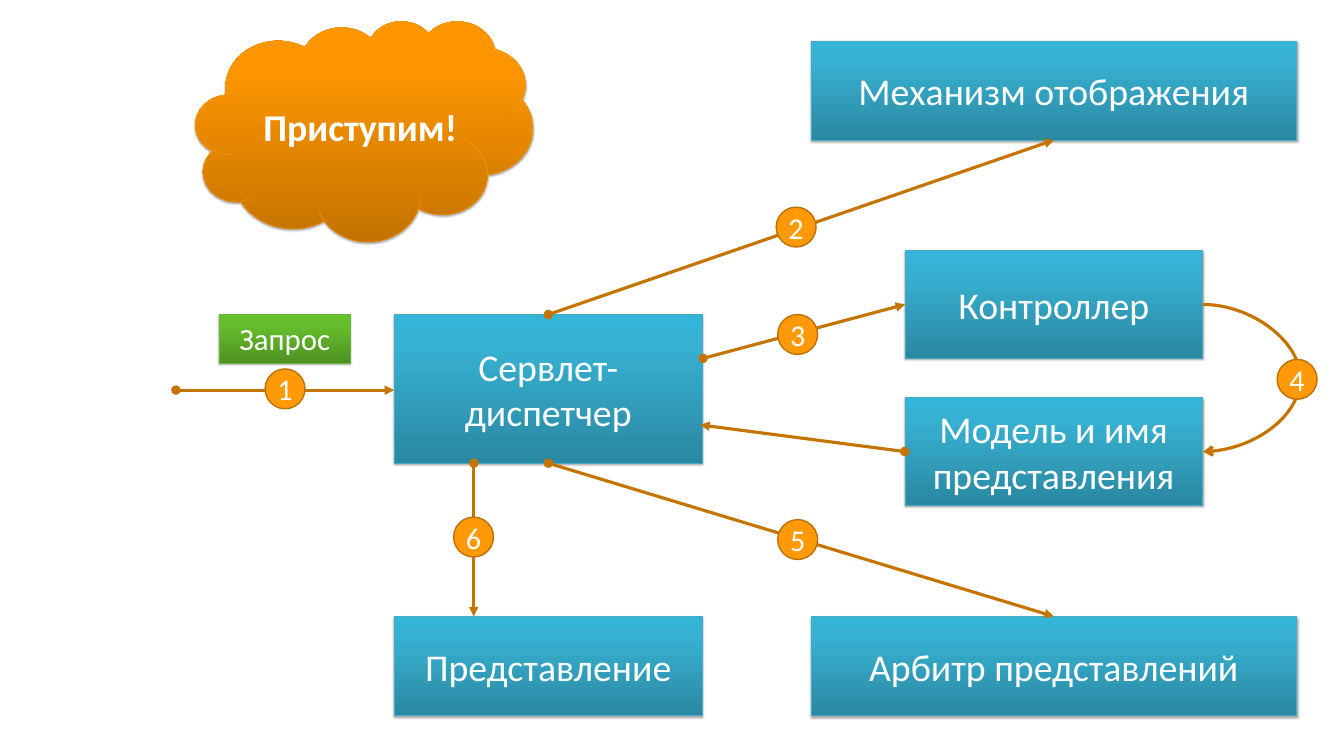
"""Build the request-handling diagram of a dispatcher servlet."""
from dataclasses import dataclass

from lxml import etree
from pptx import Presentation
from pptx import util as u
from pptx.dml.color import RGBColor
from pptx.enum import shapes, text
from pptx.oxml import ns

WHITE = RGBColor(0xFF, 0xFF, 0xFF)
BLACK = RGBColor(0x00, 0x00, 0x00)
ARROW = RGBColor(0xC5, 0x74, 0x00)
BADGE_FILL = RGBColor(0xFF, 0x99, 0x08)
BADGE_LINE = RGBColor(0xBD, 0x71, 0x06)
FONT = "Calibri"
BADGE_SIZE = 57


@dataclass(frozen=True)
class Theme:
    dark: RGBColor
    middle: RGBColor
    light: RGBColor
    line: RGBColor


@dataclass(frozen=True)
class Block:
    label: str
    left: float
    top: float
    width: float
    height: float
    theme: Theme
    size: float = 54
    bold: bool = False
    kind: shapes.MSO_SHAPE = shapes.MSO_SHAPE.RECTANGLE
    align: text.PP_ALIGN = text.PP_ALIGN.CENTER


@dataclass(frozen=True)
class Link:
    x1: float
    y1: float
    x2: float
    y2: float


@dataclass(frozen=True)
class Badge:
    label: str
    left: float
    top: float


BLUE = Theme(RGBColor(0x2A, 0x88, 0xA2), RGBColor(0x37, 0xB1, 0xD2),
             RGBColor(0x34, 0xB4, 0xD6), RGBColor(0x46, 0xAA, 0xC5))
GREEN = Theme(RGBColor(0x4F, 0x93, 0x22), RGBColor(0x66, 0xBE, 0x2C),
              RGBColor(0x66, 0xC2, 0x2A), RGBColor(0x6A, 0xB2, 0x3B))
ORANGE = Theme(RGBColor(0xC4, 0x73, 0x00), RGBColor(0xFF, 0x96, 0x00),
               RGBColor(0xFF, 0x96, 0x01), RGBColor(0xFF, 0x97, 0x02))

BLOCKS = [
    Block("Сервлет-диспетчер", 563, 449.3, 440.6, 212.4, BLUE),
    Block("Механизм отображения", 1158.5, 58.3, 694, 141.8, BLUE),
    Block("Контроллер", 1293, 357.8, 425, 153.4, BLUE),
    Block("Арбитр представлений", 1158.5, 880.6, 694, 141.8, BLUE),
    Block("Модель и имя представления", 1292.5, 568, 425.5, 153.4, BLUE),
    Block("Представление", 563, 880.6, 440.6, 141.8, BLUE),
    Block("Запрос", 313.2, 449.3, 187.2, 69.1, GREEN, 44),
    Block("Приступим!", 279.4, 29.5, 481.7, 315.4, ORANGE, bold=True,
          kind=shapes.MSO_SHAPE.CLOUD, align=text.PP_ALIGN.RIGHT),
]
LINKS = [
    Link(783.4, 449.3, 1505.5, 200.2),
    Link(1004.4, 511.9, 1293, 434.9),
    Link(1292.5, 645.1, 1000.1, 607),
    Link(783.4, 661.7, 1505.5, 880.6),
    Link(676.8, 661.7, 676.8, 880.6),
    Link(251.3, 557.3, 563, 557.3),
]
RETURN_CURVE = Link(1718, 434.9, 1718.72, 645.1)
CURVE_REACH = 141.8
BADGES = [
    Badge("1", 378.7, 527),
    Badge("2", 1108.8, 295.9),
    Badge("3", 1111, 449.3),
    Badge("4", 1824.5, 513.4),
    Badge("5", 1111, 742.3),
    Badge("6", 648, 738.7),
]


def add_child(parent, tag: str, **attributes: str):
    """Append a drawing element and return it."""
    return etree.SubElement(parent, ns.qn(tag), attributes)


def add_label(box, label: str, size: float, bold: bool, align: text.PP_ALIGN) -> None:
    """Write one white run, vertically centred in the box."""
    box.text_frame.word_wrap = True
    box.text_frame.vertical_anchor = text.MSO_ANCHOR.MIDDLE
    para = box.text_frame.paragraphs[0]
    para.alignment = align
    span = para.add_run()
    span.text = label
    span.font.name = FONT
    span.font.size = u.Pt(size)
    span.font.bold = bold
    span.font.color.rgb = WHITE


def add_block(page, block: Block) -> None:
    """Draw a gradient block with a soft shadow."""
    theme = block.theme
    box = page.shapes.add_shape(block.kind, u.Pt(block.left), u.Pt(block.top),
                                u.Pt(block.width), u.Pt(block.height))
    box.fill.gradient()
    box.fill.gradient_angle = 90
    stops = box._element.spPr.find(".//" + ns.qn("a:gsLst"))
    for stop in list(stops):
        stops.remove(stop)
    for place, color in ((0, theme.dark), (80, theme.middle), (100, theme.light)):
        stop = add_child(stops, "a:gs", pos=str(place * 1000))
        add_child(stop, "a:srgbClr", val=str(color))
    box.line.color.rgb = theme.line
    box.line.width = u.Pt(0.75)
    box.shadow.inherit = False
    effects = box._element.spPr.find(ns.qn("a:effectLst"))
    shadow = add_child(effects, "a:outerShdw", blurRad=str(u.Pt(3.1)), dist=str(u.Pt(1.8)),
                       dir="5400000", rotWithShape="0")
    add_child(add_child(shadow, "a:srgbClr", val=str(BLACK)), "a:alpha", val="35000")
    add_label(box, block.label, block.size, block.bold, block.align)


def add_link(page, link: Link, kind: shapes.MSO_CONNECTOR, head: str, tail: str):
    """Draw a connector with the given line ends and return it."""
    arrow = page.shapes.add_connector(kind, u.Pt(link.x1), u.Pt(link.y1),
                                      u.Pt(link.x2), u.Pt(link.y2))
    arrow.line.color.rgb = ARROW
    arrow.line.width = u.Pt(4.5)
    stroke = arrow.line._get_or_add_ln()
    add_child(stroke, "a:headEnd", type=head)
    add_child(stroke, "a:tailEnd", type=tail)
    add_child(arrow._element.spPr, "a:effectLst")
    return arrow


def add_curve(page, link: Link, reach: float) -> None:
    """Draw a curved connector that swings out to the right."""
    curve = add_link(page, link, shapes.MSO_CONNECTOR.CURVE, "none", "arrow")
    geometry = curve._element.spPr.find(ns.qn("a:prstGeom"))
    guides = geometry.find(ns.qn("a:avLst"))
    if guides is None:
        guides = add_child(geometry, "a:avLst")
    ratio = round(reach / (link.x2 - link.x1) * 100000)
    add_child(guides, "a:gd", name="adj1", fmla=f"val {ratio}")


def add_badge(page, badge: Badge) -> None:
    """Draw a numbered step circle."""
    circle = page.shapes.add_shape(shapes.MSO_SHAPE.OVAL, u.Pt(badge.left), u.Pt(badge.top),
                                   u.Pt(BADGE_SIZE), u.Pt(BADGE_SIZE))
    circle.fill.solid()
    circle.fill.fore_color.rgb = BADGE_FILL
    circle.line.color.rgb = BADGE_LINE
    circle.line.width = u.Pt(2)
    circle.shadow.inherit = False
    add_label(circle, badge.label, 43, False, text.PP_ALIGN.CENTER)


def main() -> None:
    """Build and save the deck."""
    deck = Presentation()
    deck.slide_width, deck.slide_height = u.Pt(1920), u.Pt(1080)
    page = deck.slides.add_slide(deck.slide_layouts[6])
    for block in BLOCKS:
        add_block(page, block)
    for link in LINKS:
        add_link(page, link, shapes.MSO_CONNECTOR.STRAIGHT, "oval", "triangle")
    add_curve(page, RETURN_CURVE, CURVE_REACH)
    for badge in BADGES:
        add_badge(page, badge)
    deck.save("out.pptx")


if __name__ == "__main__":
    main()
